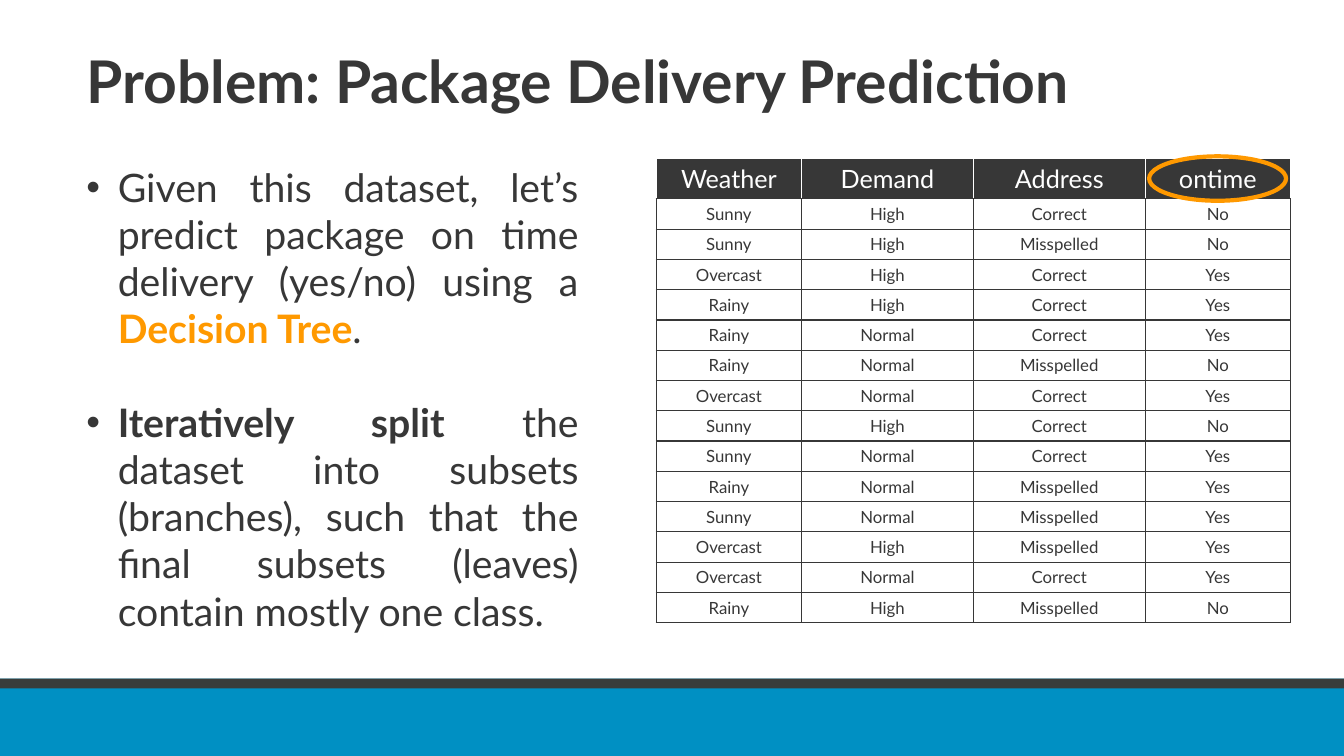
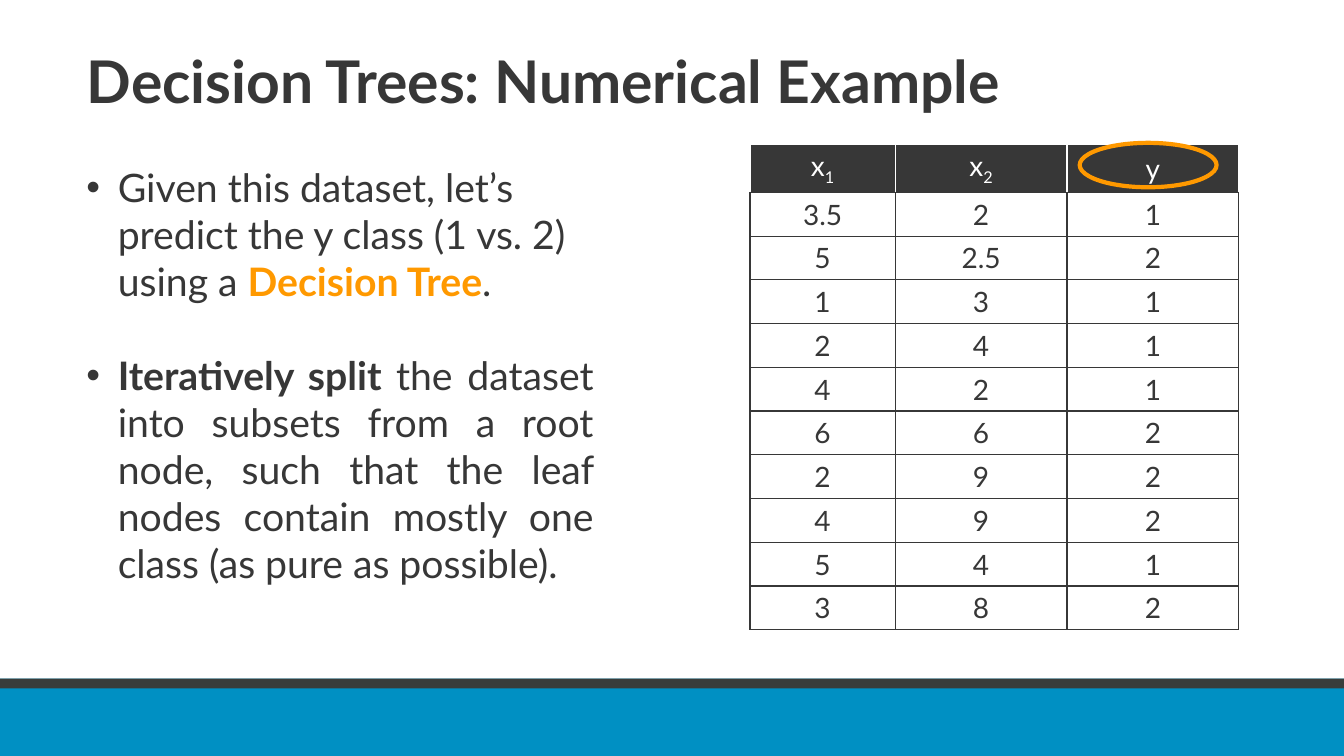
from dataclasses import dataclass

from lxml.etree import SubElement
from pptx import Presentation
from pptx.dml.color import RGBColor
from pptx.enum.shapes import MSO_SHAPE
from pptx.enum.text import MSO_ANCHOR, MSO_AUTO_SIZE, PP_ALIGN
from pptx.oxml.ns import qn
from pptx.util import Cm, Pt


@dataclass(frozen=True)
class Theme:
    font: str = "Lato"
    ink: str = "373737"
    white: str = "FFFFFF"
    accent: str = "FF9900"
    footer_blue: str = "0090C3"
    footer_edge: str = "383D3B"
    title_size: float = 42
    bullet_size: float = 28
    bullet_gap: float = 33.6
    border_width: float = 1
    ring_width: float = 3


THEME = Theme()
TITLE_BOX = (1.93, 0.81, 30.86, 2.74)
FOOTER_BOX = (0, 17.1, 33.87, 1.95)
FOOTER_EDGE_HEIGHT = 0.25
BULLET_INDENT = 0.79
RING_SIZE = (3.45, 1.12)
NARROW, WIDE = 3.66, 4.33

BOLD = {"bold": True}
KEY_TERM = {"bold": True, "color": THEME.accent}
SUBSCRIPT = {"baseline": -25000}


def cm(*lengths):
    return [Cm(length) for length in lengths]


def add_run(paragraph, text, size, color=THEME.ink, bold=False, baseline=None):
    run = paragraph.add_run()
    run.text = text
    formats = {"name": THEME.font, "size": Pt(size), "bold": bold}
    for key, value in formats.items():
        setattr(run.font, key, value)
    run.font.color.rgb = RGBColor.from_string(color)
    if baseline:
        run.font._element.set("baseline", str(baseline))


def add_footer(layout, slide, box):
    """Put the footer bands on the layout, in place of its footer fields."""
    for field in list(layout.placeholders)[1:]:
        layout.shapes.element.remove(field.element)
    left, top, width, height = box
    bands = ((height, THEME.footer_blue), (FOOTER_EDGE_HEIGHT, THEME.footer_edge))
    for band_height, color in bands:
        band = slide.shapes.add_shape(
            MSO_SHAPE.RECTANGLE, *cm(left, top, width, band_height))
        band.shadow.inherit = False
        band.fill.solid()
        band.fill.fore_color.rgb = RGBColor.from_string(color)
        band.line.fill.background()
        layout.shapes.element.append(band.element)


def set_title(slide, text, box):
    title = slide.shapes.title
    title.left, title.top, title.width, title.height = cm(*box)
    frame = title.text_frame
    frame.auto_size = MSO_AUTO_SIZE.NONE
    frame.vertical_anchor = MSO_ANCHOR.MIDDLE
    paragraph = frame.paragraphs[0]
    paragraph.alignment = PP_ALIGN.LEFT
    paragraph.line_spacing = 0.8
    add_run(paragraph, text, THEME.title_size, bold=True)


def add_bullets(slide, bullets, box):
    """Each bullet is an alignment and a list of (text, style) runs."""
    frame = slide.shapes.add_textbox(*cm(*box)).text_frame
    frame.word_wrap = True
    frame.auto_size = MSO_AUTO_SIZE.SHAPE_TO_FIT_TEXT
    for index, (alignment, runs) in enumerate(bullets):
        paragraph = frame.add_paragraph() if index else frame.paragraphs[0]
        paragraph.alignment = alignment
        if index:
            paragraph.space_before = Pt(THEME.bullet_gap)
        properties = paragraph._p.get_or_add_pPr()
        properties.set("marL", str(Cm(BULLET_INDENT)))
        properties.set("indent", str(-Cm(BULLET_INDENT)))
        SubElement(properties, qn("a:buFont")).set("typeface", "Arial")
        SubElement(properties, qn("a:buChar")).set("char", "•")
        for text, style in runs:
            add_run(paragraph, text, THEME.bullet_size, **style)


def set_borders(cell, is_header):
    properties = cell._tc.get_or_add_tcPr()
    side_color = THEME.white if is_header else THEME.ink
    colors = {"L": side_color, "R": side_color, "T": side_color, "B": THEME.ink}
    for side, color in colors.items():
        border = SubElement(properties, qn(f"a:ln{side}"))
        border.set("w", str(Pt(THEME.border_width)))
        fill = SubElement(border, qn("a:solidFill"))
        SubElement(fill, qn("a:srgbClr")).set("val", color)


def fill_cell(cell, runs, size, is_header):
    set_borders(cell, is_header)
    if is_header:
        cell.fill.solid()
        cell.fill.fore_color.rgb = RGBColor.from_string(THEME.ink)
        cell.vertical_anchor = MSO_ANCHOR.MIDDLE
    else:
        cell.fill.background()
    paragraph = cell.text_frame.paragraphs[0]
    paragraph.alignment = PP_ALIGN.CENTER
    color = THEME.white if is_header else THEME.ink
    for text, style in runs:
        add_run(paragraph, text, size, color, **style)


def add_dataset(slide, header, records, origin, columns, heights, sizes):
    """Heights and sizes are pairs: header row, then data rows."""
    header_height, row_height = heights
    total_height = header_height + row_height * len(records)
    table = slide.shapes.add_table(
        len(records) + 1, len(columns),
        *cm(*origin, sum(columns), total_height)).table
    table.horz_banding = False
    for column, width in zip(table.columns, columns):
        column.width = Cm(width)
    rows = [header] + [[[(value, {})] for value in record] for record in records]
    for index, (row, contents) in enumerate(zip(table.rows, rows)):
        is_header = index == 0
        row.height = Cm(header_height if is_header else row_height)
        size = sizes[0] if is_header else sizes[1]
        for cell, runs in zip(row.cells, contents):
            fill_cell(cell, runs, size, is_header)


def add_target_ring(slide, origin, offset):
    """Circle the heading of the predicted column."""
    left, top = (start + shift for start, shift in zip(origin, offset))
    ring = slide.shapes.add_shape(MSO_SHAPE.OVAL, *cm(left, top, *RING_SIZE))
    ring.shadow.inherit = False
    ring.fill.background()
    ring.line.color.rgb = RGBColor.from_string(THEME.accent)
    ring.line.width = Pt(THEME.ring_width)


def add_dataset_slide(deck, title, bullets, bullet_box, dataset, ring_offset):
    slide = deck.slides.add_slide(deck.slide_layouts.get_by_name("Title Only"))
    set_title(slide, title, TITLE_BOX)
    add_bullets(slide, bullets, bullet_box)
    add_dataset(slide, **dataset)
    add_target_ring(slide, dataset["origin"], ring_offset)
    return slide


DELIVERY_BULLETS = [
    (PP_ALIGN.JUSTIFY, [
        ("Given this dataset, let’s predict package on time delivery "
         "(yes/no) using a ", {}),
        ("Decision Tree", KEY_TERM), (".", {})]),
    (PP_ALIGN.JUSTIFY, [
        ("Iteratively split ", BOLD),
        ("the dataset into subsets (branches), such that the final subsets "
         "(leaves) contain mostly one class.", {})]),
]
DELIVERY_DATASET = {
    "header": [[(name, {})] for name in ("Weather", "Demand", "Address", "ontime")],
    "records": [
        ("Sunny", "High", "Correct", "No"),
        ("Sunny", "High", "Misspelled", "No"),
        ("Overcast", "High", "Correct", "Yes"),
        ("Rainy", "High", "Correct", "Yes"),
        ("Rainy", "Normal", "Correct", "Yes"),
        ("Rainy", "Normal", "Misspelled", "No"),
        ("Overcast", "Normal", "Correct", "Yes"),
        ("Sunny", "High", "Correct", "No"),
        ("Sunny", "Normal", "Correct", "Yes"),
        ("Rainy", "Normal", "Misspelled", "Yes"),
        ("Sunny", "Normal", "Misspelled", "Yes"),
        ("Overcast", "High", "Misspelled", "Yes"),
        ("Overcast", "Normal", "Correct", "Yes"),
        ("Rainy", "High", "Misspelled", "No"),
    ],
    "origin": (16.54, 3.99),
    "columns": (NARROW, WIDE, WIDE, NARROW),
    "heights": (1.02, 0.76),
    "sizes": (18, 12),
}

NUMERICAL_BULLETS = [
    (PP_ALIGN.LEFT, [
        ("Given this dataset, let’s predict the y class (1 vs. 2) using a ", {}),
        ("Decision Tree", KEY_TERM), (".", {})]),
    (PP_ALIGN.JUSTIFY, [
        ("Iteratively split ", BOLD),
        ("the dataset into subsets from a root node, such that the leaf nodes "
         "contain mostly one class (as pure as possible).", {})]),
]
NUMERICAL_DATASET = {
    "header": [[("x", {}), ("1", SUBSCRIPT)], [("x", {}), ("2", SUBSCRIPT)],
               [("y", {})]],
    "records": [
        ("3.5", "2", "1"), ("5", "2.5", "2"), ("1", "3", "1"), ("2", "4", "1"),
        ("4", "2", "1"), ("6", "6", "2"), ("2", "9", "2"), ("4", "9", "2"),
        ("5", "4", "1"), ("3", "8", "2"),
    ],
    "origin": (18.9, 3.63),
    "columns": (NARROW, WIDE, WIDE),
    "heights": (1.2, 1.1),
    "sizes": (20, 20),
}


def main():
    deck = Presentation()
    deck.slide_width, deck.slide_height = cm(33.87, 19.05)
    delivery = add_dataset_slide(
        deck, "Problem: Package Delivery Prediction", DELIVERY_BULLETS,
        (1.93, 3.99, 12.9, 12.22), DELIVERY_DATASET, (12.42, -0.05))
    add_footer(delivery.slide_layout, delivery, FOOTER_BOX)
    add_dataset_slide(
        deck, "Decision Trees: Numerical Example", NUMERICAL_BULLETS,
        (1.93, 3.99, 13.28, 11.02), NUMERICAL_DATASET, (8.31, -0.03))
    deck.save("out.pptx")


if __name__ == "__main__":
    main()
